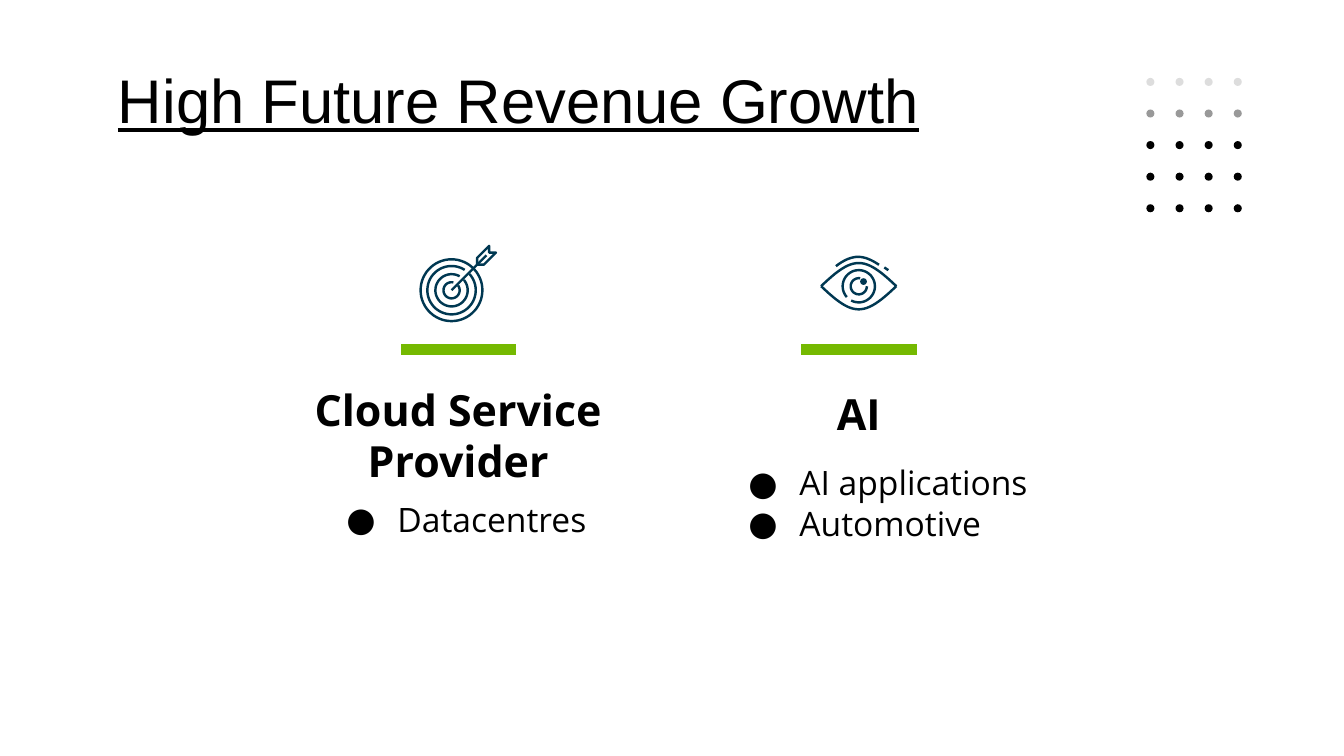
from math import cos, sin, radians
from lxml import etree
from pptx import Presentation
from pptx.dml.color import RGBColor
from pptx.enum.shapes import MSO_CONNECTOR, MSO_SHAPE
from pptx.enum.text import MSO_ANCHOR, PP_ALIGN
from pptx.oxml.ns import qn
from pptx.util import Inches, Pt

LEFT, MID = PP_ALIGN.LEFT, PP_ALIGN.CENTER
TOP, HALF = MSO_ANCHOR.TOP, MSO_ANCHOR.MIDDLE
LINE = MSO_CONNECTOR.STRAIGHT
OVAL = MSO_SHAPE.OVAL
BLACK, GREEN, NAVY = "000000", "75B901", "003852"

hue = RGBColor.from_string

deck = Presentation()
deck.slide_width = Inches(10)
deck.slide_height = Inches(10 * 9 / 16)
slide = deck.slides.add_slide(deck.slide_layouts[6])
shapes = slide.shapes


def write(text, box, size, face="Open Sans", bold=False, under=False,
          align=LEFT, anchor=TOP, inset=0.1, bullet=False):
    frame = shapes.add_textbox(*map(Inches, box)).text_frame
    frame.word_wrap = True
    frame.vertical_anchor = anchor
    frame.margin_top = Inches(inset)
    frame.margin_left = frame.margin_right = frame.margin_bottom = Inches(0.1)
    frame.text = text
    for para in frame.paragraphs:
        para.alignment = align
        if bullet:
            props = para._p.get_or_add_pPr()
            props.set("marL", str(Inches(0.5)))
            props.set("indent", str(Inches(-0.38)))
            tint = etree.SubElement(props, qn("a:buClr"))
            etree.SubElement(tint, qn("a:srgbClr"), val=BLACK)
            etree.SubElement(props, qn("a:buFont"), typeface=face)
            etree.SubElement(props, qn("a:buChar"), char="●")
        for run in para.runs:
            font = run.font
            font.name, font.size = face, Pt(size)
            font.bold, font.underline = bold, under
            font.color.rgb = hue(BLACK)


write("High Future Revenue Growth", (0.78, 0.46, 8.44, 0.58), 33,
      face="Arial", under=True, inset=0)
write("Cloud Service Provider", (2.17, 2.97, 2.48, 0.53), 23,
      bold=True, align=MID, anchor=HALF)
write("AI", (5.15, 2.81, 2.48, 0.53), 23, bold=True, align=MID, anchor=HALF)
write("Datacentres", (2.17, 3.61, 2.48, 0.91), 18, align=MID, bullet=True)
write("AI applications\nAutomotive", (5.35, 3.34, 2.48, 0.91), 18, bullet=True)

for x in (2.98, 5.96):
    bar = shapes.add_connector(LINE, Inches(x + 0.86), Inches(2.6), Inches(x), Inches(2.6))
    bar.line.color.rgb = hue(GREEN)
    bar.line.width = Pt(6)
    etree.SubElement(bar._element.spPr, qn("a:effectLst"))

arcs = [
    (3.36, 2.16, 0.23, 0, 360),
    (3.36, 2.16, 0.18, -42, 345),
    (3.36, 2.16, 0.12, -40, 340),
    (3.36, 2.16, 0.06, -37, 320),
    (6.39, 2.13, 0.12, 138, 340),
    (6.39, 2.13, 0.06, 0, 280),
]
curves = [
    [(6.11, 2.13), (6.35, 1.9), (6.43, 1.9), (6.67, 2.13)],
    [(6.11, 2.13), (6.35, 2.36), (6.43, 2.36), (6.67, 2.13)],
    [(6.22, 1.98), (6.34, 1.89), (6.42, 1.89), (6.54, 1.97)],
]
strokes = [
    [(3.36, 2.16), (3.62, 1.9)],
    [(3.64, 1.83), (3.64, 1.88), (3.69, 1.88), (3.6, 1.97),
     (3.55, 1.97), (3.55, 1.92), (3.64, 1.83)],
    [(6.58, 1.99), (6.61, 2.01)],
]
for x, y, r, start, sweep in arcs:
    turns = [radians(start + sweep * i / 60) for i in range(61)]
    strokes.append([(x + r * cos(t), y + r * sin(t)) for t in turns])
for knots in curves:
    strokes.append([
        tuple((1 - t) ** 3 * a + 3 * t * (1 - t) ** 2 * b + 3 * t * t * (1 - t) * c + t ** 3 * d
              for a, b, c, d in zip(*knots))
        for t in (i / 24 for i in range(25))
    ])
for points in strokes:
    first, *rest = [(Inches(x), Inches(y)) for x, y in points]
    pen = shapes.build_freeform(*first)
    pen.add_line_segments(rest, close=first == rest[-1])
    shape = pen.convert_to_shape()
    shape.shadow.inherit = False
    shape.fill.background()
    shape.line.color.rgb = hue(NAVY)
    shape.line.width = Pt(1.3)

dots = [(6.4, 2.07, 0.05, NAVY)]
for row, tone in enumerate(["DDDDDD", "999999", BLACK, BLACK, BLACK]):
    for col in range(4):
        dots.append((8.53 + 0.65 * col / 3, 0.58 + 0.94 * row / 4, 0.06, tone))
for x, y, size, tone in dots:
    dot = shapes.add_shape(OVAL, Inches(x), Inches(y), Inches(size), Inches(size))
    dot.shadow.inherit = False
    dot.fill.solid()
    dot.fill.fore_color.rgb = hue(tone)
    dot.line.fill.background()

deck.save("out.pptx")
